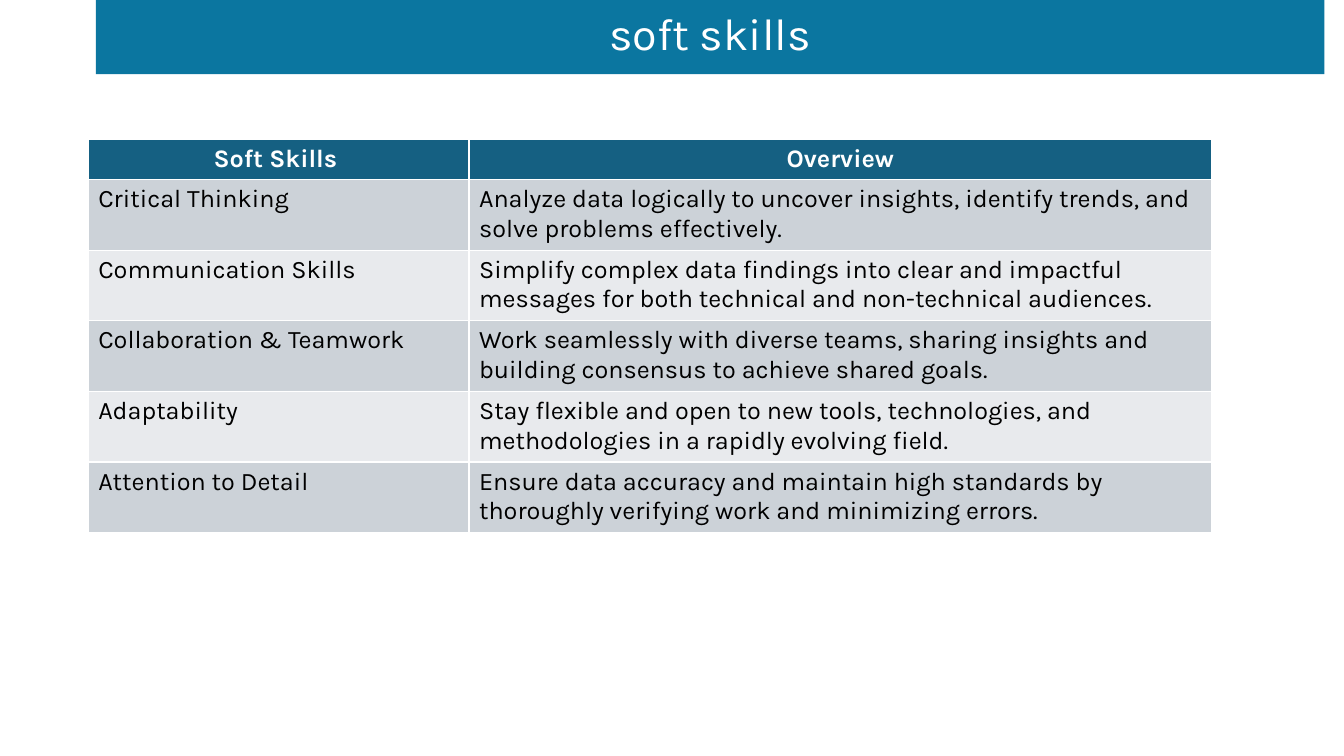
from dataclasses import dataclass

from pptx import Presentation
from pptx.dml.color import RGBColor as RGB
from pptx.enum.text import MSO_ANCHOR as Anchor, MSO_AUTO_SIZE as Fit, PP_ALIGN as Align
from pptx.util import Pt


@dataclass(frozen=True)
class Theme:
    font: str = "Karla"
    bar: str = "0B76A0"
    head: str = "156082"
    bands: tuple = ("CCD2D8", "E8EAED")
    light: str = "FFFFFF"
    dark: str = "000000"
    title: int = 32
    body: int = 18


theme = Theme()

skills = [
    ("Soft Skills ", "Overview"),
    ("Critical Thinking",
     "Analyze data logically to uncover insights, identify trends, and solve problems effectively."),
    ("Communication Skills",
     "Simplify complex data findings into clear and impactful messages for both technical "
     "and non-technical audiences."),
    ("Collaboration & Teamwork",
     "Work seamlessly with diverse teams, sharing insights and building consensus "
     "to achieve shared goals."),
    ("Adaptability",
     "Stay flexible and open to new tools, technologies, and methodologies in a rapidly evolving field."),
    ("Attention to Detail",
     "Ensure data accuracy and maintain high standards by thoroughly verifying work "
     "and minimizing errors."),
]


def paint(part, color):
    part.fill.solid()
    part.fill.fore_color.rgb = RGB.from_string(color)


def style(para, size, color, align, bold=False):
    para.alignment = align
    font = para.font
    font.name, font.size, font.bold = theme.font, Pt(size), bold
    font.color.rgb = RGB.from_string(color)


# Slide
deck = Presentation()
deck.slide_width, deck.slide_height = Pt(960), Pt(540)
slide = deck.slides.add_slide(deck.slide_layouts[5])

# Title bar
title = slide.shapes.title
title.left, title.top, title.width, title.height = Pt(68.5), Pt(0), Pt(877.5), Pt(46)
paint(title, theme.bar)
frame = title.text_frame
frame.text = "soft skills"
frame.word_wrap = True
frame.auto_size = Fit.SHAPE_TO_FIT_TEXT
frame.vertical_anchor = Anchor.MIDDLE
style(frame.paragraphs[0], theme.title, theme.light, Align.CENTER)

# Skills table: the default table style draws the white rules
table = slide.shapes.add_table(len(skills), 2, Pt(63), Pt(99.4), Pt(802.6), Pt(280.4)).table
for col, width in zip(table.columns, (272, 530.6)):
    col.width = Pt(width)

for r, texts in enumerate(skills):
    head = r == 0
    table.rows[r].height = Pt(28.4 if head else 50.4)
    for c, text in enumerate(texts):
        cell = table.cell(r, c)
        cell.text = text
        paint(cell, theme.head if head else theme.bands[(r - 1) % 2])
        style(cell.text_frame.paragraphs[0], theme.body,
              theme.light if head else theme.dark,
              Align.CENTER if head else Align.LEFT, head)

deck.save("out.pptx")
